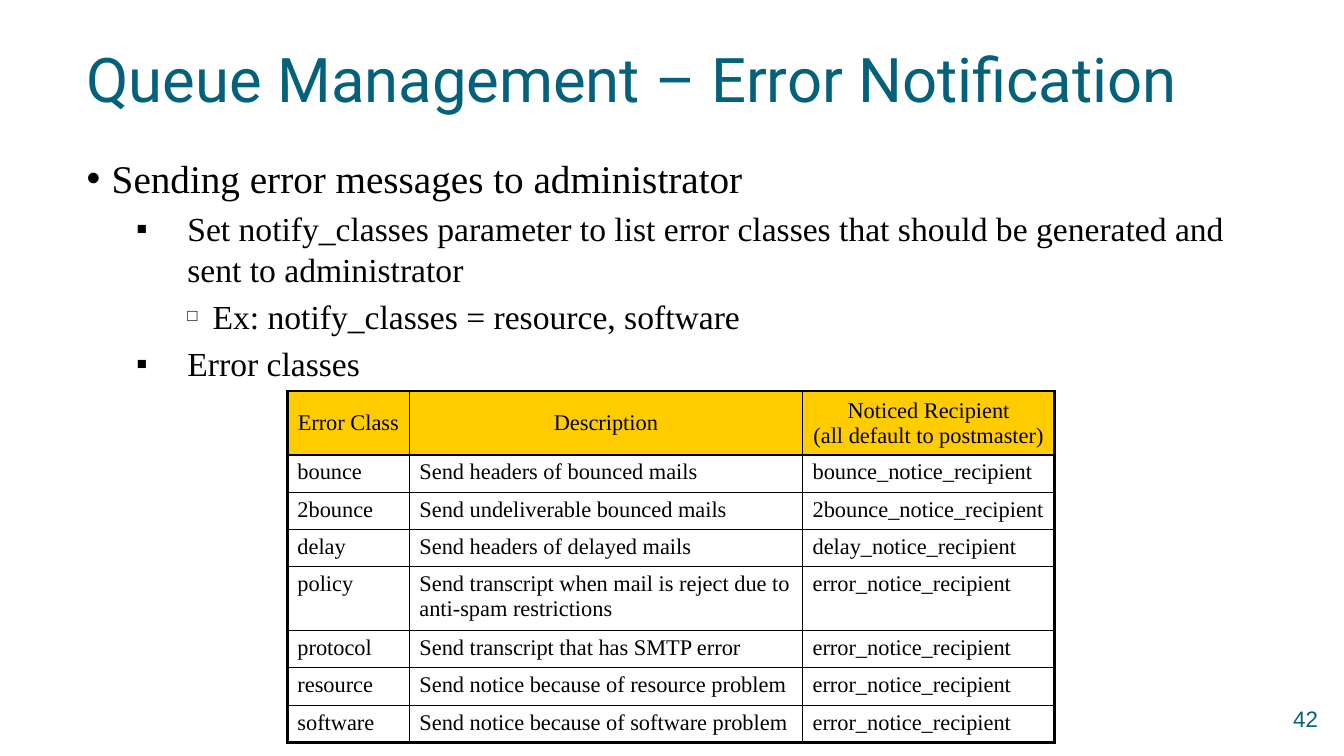
from lxml.etree import SubElement
from pptx import Presentation
from pptx.dml.color import RGBColor
from pptx.enum.text import MSO_ANCHOR as Anchor, PP_ALIGN as Align
from pptx.oxml.ns import qn
from pptx.util import Inches, Pt

TITLE = "Queue Management – Error Notification"
PAGE = "42"
OUTLINE = [  # (level, text)
    (0, "Sending error messages to administrator"),
    (1, "Set notify_classes parameter to list error classes that should be "
        "generated and sent to administrator"),
    (2, "Ex: notify_classes = resource, software"),
    (1, "Error classes"),
]
ERROR_CLASSES = [
    ("Error Class", "Description", "Noticed Recipient\v(all default to postmaster)"),
    ("bounce", "Send headers of bounced mails", "bounce_notice_recipient"),
    ("2bounce", "Send undeliverable bounced mails", "2bounce_notice_recipient"),
    ("delay", "Send headers of delayed mails", "delay_notice_recipient"),
    ("policy", "Send transcript when mail is reject due to\vanti-spam restrictions",
     "error_notice_recipient"),
    ("protocol", "Send transcript that has SMTP error", "error_notice_recipient"),
    ("resource", "Send notice because of resource problem", "error_notice_recipient"),
    ("software", "Send notice because of software problem", "error_notice_recipient"),
]
COLORS = {"heading": "04617B", "text": "000000", "header": "FFCC00",
          "cell": "FFFFFF", "border": "000000"}
SERIF = "Times New Roman"
# per level: bullet, bullet size %, left margin, hanging indent, space before, font size
LEVELS = [("•", 100, 0.25, 0.25, 10, 28),
          ("■", 50, 1, 0.5, 5, 24),
          ("□", 50, 1.25, 0.25, 5, 24)]

WIDTH, HEIGHT = 13.33, 7.5
MARGIN = 0.76
CONTENT_WIDTH = WIDTH - 2 * MARGIN
TABLE_LEFT, TABLE_TOP = 2.85, 3.88
COLUMNS = [1.21, 3.9, 2.5]
LINE_ROW, TWO_LINE_ROW = 0.37, 0.63
INNER, OUTER = 1, 2.25


def rgb(name):
    return RGBColor.from_string(COLORS[name])


def set_font(paragraph, size, face, color):
    font = paragraph.font
    font.size, font.name = Pt(size), face
    font.color.rgb = rgb(color)


def add_text_frame(slide, left, top, width, height):
    box = slide.shapes.add_textbox(*map(Inches, (left, top, width, height)))
    box.text_frame.word_wrap = True
    return box.text_frame


def add_title(slide):
    frame = add_text_frame(slide, MARGIN, 0.3, CONTENT_WIDTH, 1.03)
    frame.vertical_anchor = Anchor.MIDDLE
    frame.text = TITLE
    heading = frame.paragraphs[0]
    heading.line_spacing = 0.9
    set_font(heading, 44, "Roboto", "heading")


def add_outline(slide):
    frame = add_text_frame(slide, MARGIN, 1.48, CONTENT_WIDTH, 5.28)
    frame.text = "\n".join(text for _, text in OUTLINE)
    for (level, _), item in zip(OUTLINE, frame.paragraphs):
        bullet, percent, margin, hanging, before, size = LEVELS[level]
        item.level = level
        item.space_before = Pt(before)
        set_font(item, size, SERIF, "text")
        props = item._p.get_or_add_pPr()
        props.set("marL", str(Inches(margin)))
        props.set("indent", str(-Inches(hanging)))
        marks = [("a:buSzPct", "val", str(percent * 1000)),
                 ("a:buFont", "typeface", "Arial"),
                 ("a:buChar", "char", bullet)]
        for at, (tag, key, value) in enumerate(marks):
            mark = SubElement(props, qn(tag), {key: value})
            props.insert(list(props).index(props.find(qn("a:defRPr"))), mark)


def set_borders(cell, widths):
    """Draw the left, right, top and bottom borders, ahead of the cell's fill."""
    props = cell._tc.get_or_add_tcPr()
    for at, (side, width) in enumerate(zip("LRTB", widths)):
        line = SubElement(props, qn(f"a:ln{side}"), {"w": str(Pt(width))})
        fill = SubElement(line, qn("a:solidFill"))
        SubElement(fill, qn("a:srgbClr"), {"val": COLORS["border"]})
        props.insert(at, line)


def add_error_classes(slide):
    heights = [TWO_LINE_ROW if any("\v" in text for text in row) else LINE_ROW
               for row in ERROR_CLASSES]
    last_row, last_col = len(heights) - 1, len(COLUMNS) - 1
    table = slide.shapes.add_table(
        len(heights), len(COLUMNS), Inches(TABLE_LEFT), Inches(TABLE_TOP),
        Inches(sum(COLUMNS)), Inches(sum(heights))).table
    for column, width in zip(table.columns, COLUMNS):
        column.width = Inches(width)
    for r, row in enumerate(ERROR_CLASSES):
        table.rows[r].height = Inches(heights[r])
        for c, text in enumerate(row):
            cell = table.cell(r, c)
            cell.text_frame.text = text
            cell.fill.solid()
            cell.fill.fore_color.rgb = rgb("cell" if r else "header")
            cell.vertical_anchor = Anchor.TOP if r else Anchor.MIDDLE
            entry = cell.text_frame.paragraphs[0]
            entry.alignment = Align.LEFT if r else Align.CENTER
            set_font(entry, 16, SERIF, "text")
            edges = (c == 0, c == last_col, r == 0, r == last_row)
            set_borders(cell, [OUTER if edge else INNER for edge in edges])


def add_page_number(slide):
    frame = add_text_frame(slide, 12.65, 6.95, 0.6, 0.4)
    frame.text = PAGE
    number = frame.paragraphs[0]
    number.alignment = Align.CENTER
    set_font(number, 16, "Arial", "heading")


def main():
    deck = Presentation()
    deck.slide_width, deck.slide_height = Inches(WIDTH), Inches(HEIGHT)
    slide = deck.slides.add_slide(deck.slide_layouts[6])
    add_title(slide)
    add_outline(slide)
    add_page_number(slide)
    add_error_classes(slide)
    deck.save("out.pptx")


if __name__ == "__main__":
    main()
